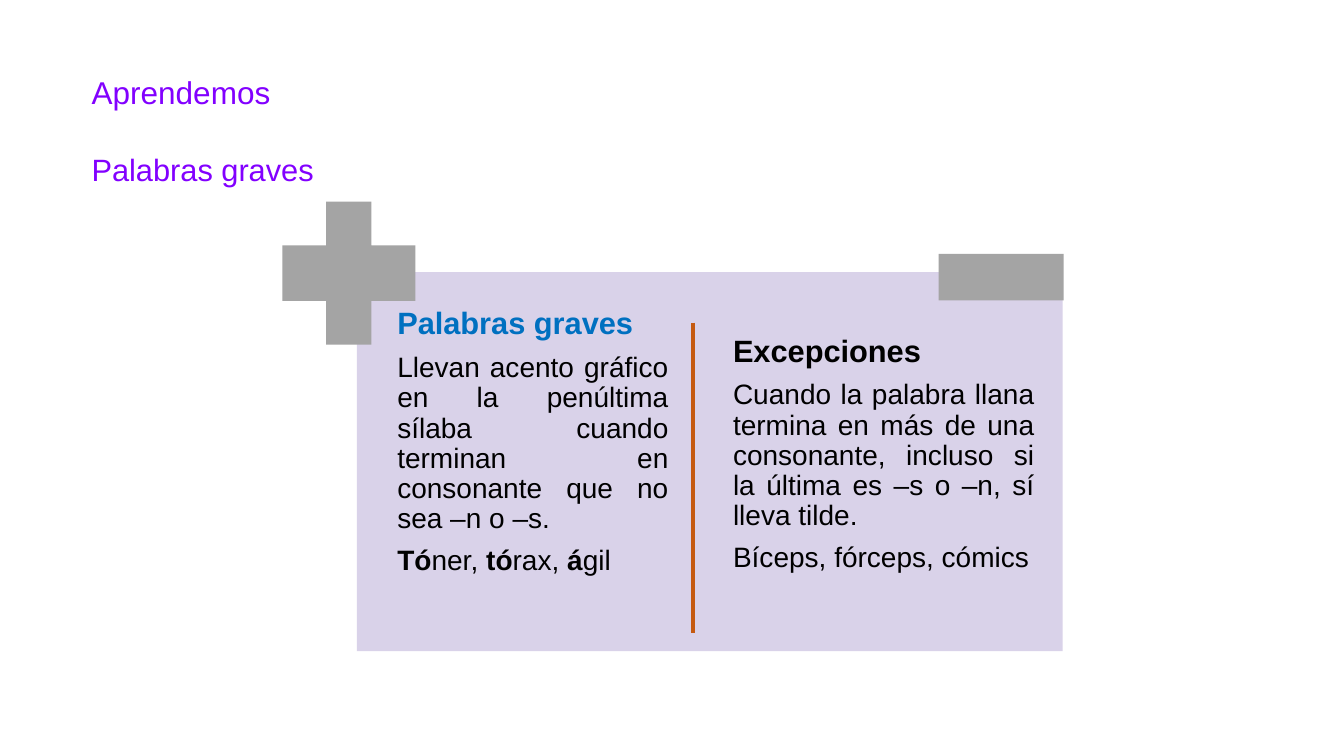
"""Build a slide on Spanish paroxytone words and their accent rules."""
from dataclasses import dataclass

from lxml import etree
from pptx import Presentation
from pptx import util as u
from pptx.dml.color import RGBColor
from pptx.enum import shapes, text
from pptx.oxml.ns import qn


@dataclass(frozen=True)
class Theme:
    """Colours, font and type sizes."""
    font: str = "Arial"
    violet: str = "8200FF"
    lilac: str = "D9D2E9"
    grey: str = "A4A4A4"
    blue: str = "0070C0"
    black: str = "000000"
    orange: str = "C55A11"
    title: float = 22.5
    heading: float = 22
    body: float = 20
    gap: float = 8.4


class SlideBuilder:
    """Draw styled elements on the current slide."""

    def __init__(self, page, theme):
        """Keep the slide and its theme."""
        self.page = page
        self.theme = theme

    def shape(self, kind, left, top, width, height, colour):
        """Add a filled shape without outline."""
        shape = self.page.shapes.add_shape(
            kind, *map(u.Inches, (left, top, width, height)))
        shape.shadow.inherit = False
        shape.fill.solid()
        shape.fill.fore_color.rgb = RGBColor.from_string(colour)
        shape.line.fill.background()
        return shape

    def line(self, x, top, bottom, colour, weight):
        """Add a vertical line."""
        line = self.page.shapes.add_connector(
            shapes.MSO_CONNECTOR.STRAIGHT,
            *map(u.Inches, (x, top, x, bottom)))
        line.line.color.rgb = RGBColor.from_string(colour)
        line.line.width = u.Pt(weight)
        etree.SubElement(line._element.spPr, qn("a:effectLst"))

    def frame(self, left, top, width, height, inset):
        """Add a wrapping text box and return its text frame."""
        box = self.page.shapes.add_textbox(
            *map(u.Inches, (left, top, width, height)))
        frame = box.text_frame
        frame.word_wrap = True
        frame.margin_left = frame.margin_right = u.Inches(inset)
        frame.margin_top = frame.margin_bottom = u.Inches(0.05)
        return frame

    def style(self, para, size, colour, bold=None):
        """Set the type of a paragraph."""
        para.line_spacing = 0.9
        para.font.name = self.theme.font
        para.font.size = u.Pt(size)
        para.font.bold = bold
        para.font.color.rgb = RGBColor.from_string(colour)

    def title(self, words, left, top, width, height, size):
        """Add a one-line violet title."""
        frame = self.frame(left, top, width, height, 0.1)
        frame.vertical_anchor = text.MSO_ANCHOR.MIDDLE
        para = frame.paragraphs[0]
        para.text = words
        self.style(para, size, self.theme.violet)

    def column(self, left, top, width, height, heading, colour, rule, examples):
        """Add a heading, a rule and examples given as (words, bold) pairs."""
        frame = self.frame(left, top, width, height, 0.05)
        first = frame.paragraphs[0]
        first.text = heading
        self.style(first, self.theme.heading, colour, True)
        for spans in ([(rule, False)], examples):
            para = frame.add_paragraph()
            para.space_before = u.Pt(self.theme.gap)
            self.style(para, self.theme.body, self.theme.black)
            for words, bold in spans:
                span = para.add_run()
                span.text = words
                span.font.bold = bold
        for para in frame.paragraphs:
            para.alignment = text.PP_ALIGN.JUSTIFY


def main():
    """Build and save the deck."""
    deck = Presentation()
    deck.slide_width, deck.slide_height = u.Inches(13.33), u.Inches(7.5)
    theme = Theme()
    slide = SlideBuilder(deck.slides.add_slide(deck.slide_layouts[6]), theme)
    kinds = shapes.MSO_SHAPE

    slide.title("Palabras graves", 0.81, 1.41, 5.49, 0.59, theme.heading)
    slide.title("Aprendemos", 0.81, 0.73, 11.73, 0.42, theme.title)

    slide.shape(kinds.RECTANGLE, 3.54, 2.7, 7, 3.76, theme.lilac)
    slide.column(
        3.89, 3.01, 2.79, 3.24, "Palabras graves", theme.blue,
        "Llevan acento gráfico en la penúltima sílaba cuando terminan en "
        "consonante que no sea –n o –s.",
        [("Tó", True), ("ner, ", False), ("tó", True), ("rax, ", False),
         ("á", True), ("gil", False)])
    slide.column(
        7.22, 3.28, 3.09, 2.92, "Excepciones", theme.black,
        "Cuando la palabra llana termina en más de una consonante, incluso "
        "si la última es –s o –n, sí lleva tilde.",
        [("Bíceps, fórceps, cómics", False)])
    plus = slide.shape(kinds.CROSS, 2.8, 2, 1.32, 1.42, theme.grey)
    plus.adjustments[0] = 0.33
    slide.shape(kinds.RECTANGLE, 9.31, 2.52, 1.24, 0.46, theme.grey)
    slide.line(6.87, 3.2, 6.28, theme.orange, 3)

    deck.save("out.pptx")


if __name__ == "__main__":
    main()
